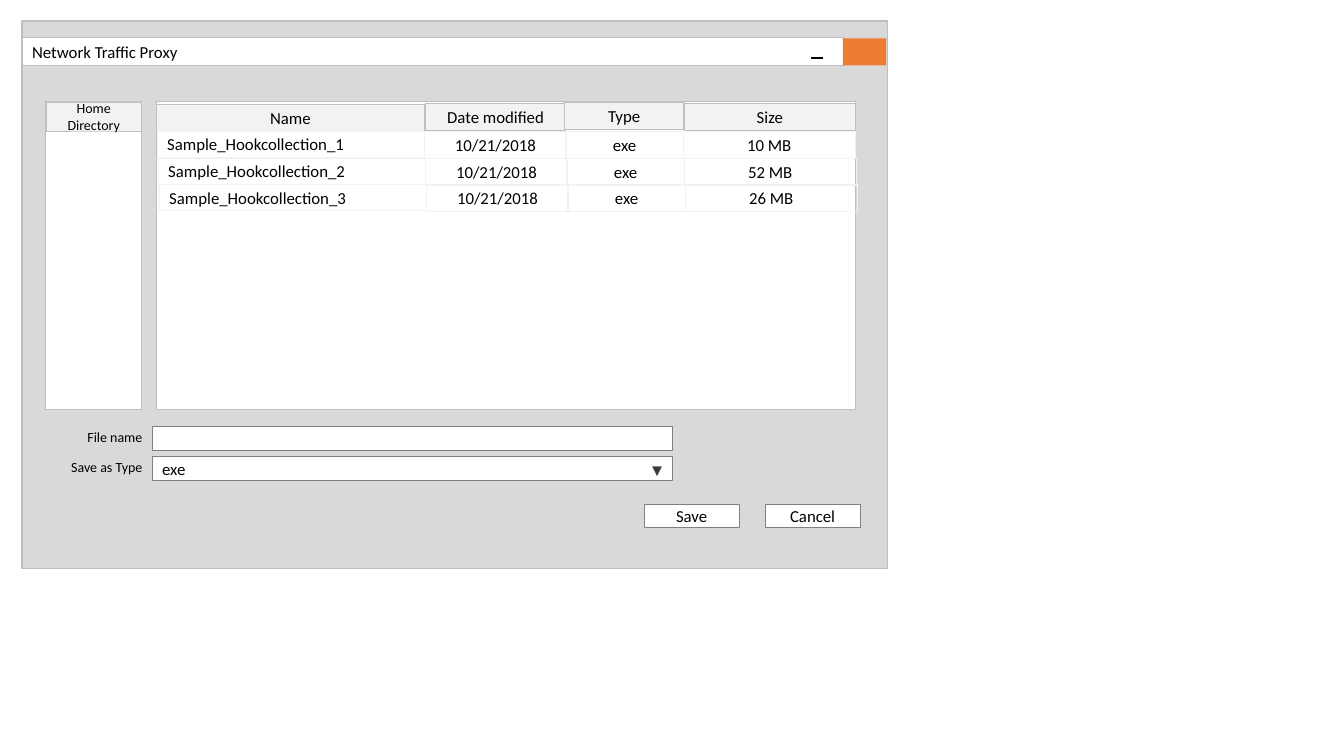
from pptx import Presentation
from pptx.dml.color import RGBColor
from pptx.enum.shapes import MSO_SHAPE
from pptx.enum.text import MSO_ANCHOR, MSO_AUTO_SIZE, PP_ALIGN
from pptx.util import Inches, Pt

RECT, MINUS = MSO_SHAPE.RECTANGLE, MSO_SHAPE.MATH_MINUS
LEFT, CENTER, RIGHT = PP_ALIGN.LEFT, PP_ALIGN.CENTER, PP_ALIGN.RIGHT
MIDDLE = MSO_ANCHOR.MIDDLE
GROW = MSO_AUTO_SIZE.SHAPE_TO_FIT_TEXT

BLACK = RGBColor(0x00, 0x00, 0x00)
WHITE = RGBColor(0xFF, 0xFF, 0xFF)
WINDOW_GRAY = RGBColor(0xD9, 0xD9, 0xD9)
BORDER_GRAY = RGBColor(0xBF, 0xBF, 0xBF)
FIELD_GRAY = RGBColor(0x80, 0x80, 0x80)
HEADER_GRAY = RGBColor(0xF2, 0xF2, 0xF2)
ARROW_GRAY = RGBColor(0x3C, 0x3C, 0x3C)
ORANGE = RGBColor(0xED, 0x7D, 0x31)

# Column heading: left, top, width
HEADERS = {
    "Name": (1.55, 1.03, 2.66),
    "Date modified": (4.22, 1.02, 1.39),
    "Type": (5.6, 1.01, 1.18),
    "Size": (6.79, 1.02, 1.69),
}
FILES = [
    ("Sample_Hookcollection_1", "10/21/2018", "exe", "10 MB"),
    ("Sample_Hookcollection_2", "10/21/2018", "exe", "52 MB"),
    ("Sample_Hookcollection_3", "10/21/2018", "exe", "26 MB"),
]
# File cell: offset from the row's left edge, width, height, alignment
FILE_CELLS = [
    (0, 2.65, 0.26, LEFT),
    (2.65, 1.41, 0.27, CENTER),
    (4.05, 1.17, 0.27, CENTER),
    (5.22, 1.7, 0.27, CENTER),
]
ROW_LEFTS = [1.56, 1.57, 1.58]
ROW_TOP, ROW_STEP = 1.3, 0.265


def write(shape, text, size, align, color=BLACK, font="Calibri"):
    frame = shape.text_frame
    frame.word_wrap = True
    frame.text = text
    paragraph = frame.paragraphs[0]
    paragraph.alignment = align
    run_font = paragraph.runs[0].font
    run_font.name, run_font.size = font, Pt(size)
    run_font.color.rgb = color


def add_box(slide, box, fill=None, line=None, width=0.5, text="", size=12,
            align=CENTER, kind=RECT):
    shape = slide.shapes.add_shape(kind, *map(Inches, box))
    shape.shadow.inherit = False
    if fill is None:
        shape.fill.background()
    else:
        shape.fill.solid()
        shape.fill.fore_color.rgb = fill
    if line is None:
        shape.line.fill.background()
    else:
        shape.line.color.rgb = line
        shape.line.width = Pt(width)
    if text:
        write(shape, text, size, align)
        shape.text_frame.vertical_anchor = MIDDLE
    return shape


def add_label(slide, box, text, size=10, align=RIGHT, **style):
    label = slide.shapes.add_textbox(*map(Inches, box))
    write(label, text, size, align, **style)
    label.text_frame.auto_size = GROW


def add_window(slide):
    add_box(slide, (0.22, 0.21, 8.58, 5.43), WINDOW_GRAY, BORDER_GRAY, 1)
    add_box(slide, (0.22, 0.37, 8.15, 0.28), WHITE, BORDER_GRAY, 1,
            "Network Traffic Proxy", align=LEFT)
    add_box(slide, (8.36, 0.38, 0.43, 0.27), ORANGE)
    add_box(slide, (8.03, 0.55, 0.15, 0.05), BLACK, BLACK, 1, kind=MINUS)


def add_file_list(slide):
    add_box(slide, (1.55, 1.01, 6.93, 3.05), WHITE, BORDER_GRAY)
    for heading, (left, top, width) in HEADERS.items():
        add_box(slide, (left, top, width, 0.27), HEADER_GRAY, BORDER_GRAY,
                0.25, heading)
    for row, (row_left, file) in enumerate(zip(ROW_LEFTS, FILES)):
        top = ROW_TOP + row * ROW_STEP
        for value, (offset, width, height, align) in zip(file, FILE_CELLS):
            add_box(slide, (row_left + offset, top, width, height),
                    line=HEADER_GRAY, width=0.25, text=value, align=align)


def add_directory_pane(slide):
    add_box(slide, (0.45, 1.01, 0.95, 3.05), WHITE, BORDER_GRAY)
    add_box(slide, (0.46, 1.01, 0.94, 0.29), HEADER_GRAY, BORDER_GRAY, 0.25,
            "Home Directory", size=10)


def add_save_fields(slide):
    for top, label, value in ((4.23, "File name", ""),
                              (4.53, "Save as Type", "exe")):
        add_box(slide, (1.51, top, 5.16, 0.24), WHITE, FIELD_GRAY,
                text=value, align=LEFT)
        add_label(slide, (0.56, top - 0.03, 0.95, 0.27), label)
    add_label(slide, (6.37, 4.51, 0.38, 0.3), "▼", 12, LEFT,
              color=ARROW_GRAY, font="Noto Sans Mono")


def add_buttons(slide):
    for left, caption in ((6.39, "Save"), (7.59, "Cancel")):
        add_box(slide, (left, 5, 0.94, 0.23), WHITE, FIELD_GRAY, text=caption)


def main():
    prs = Presentation()
    prs.slide_width, prs.slide_height = Inches(13.33), Inches(7.5)
    slide = prs.slides.add_slide(prs.slide_layouts[6])
    add_window(slide)
    add_file_list(slide)
    add_directory_pane(slide)
    add_save_fields(slide)
    add_buttons(slide)
    prs.save("out.pptx")


if __name__ == "__main__":
    main()
